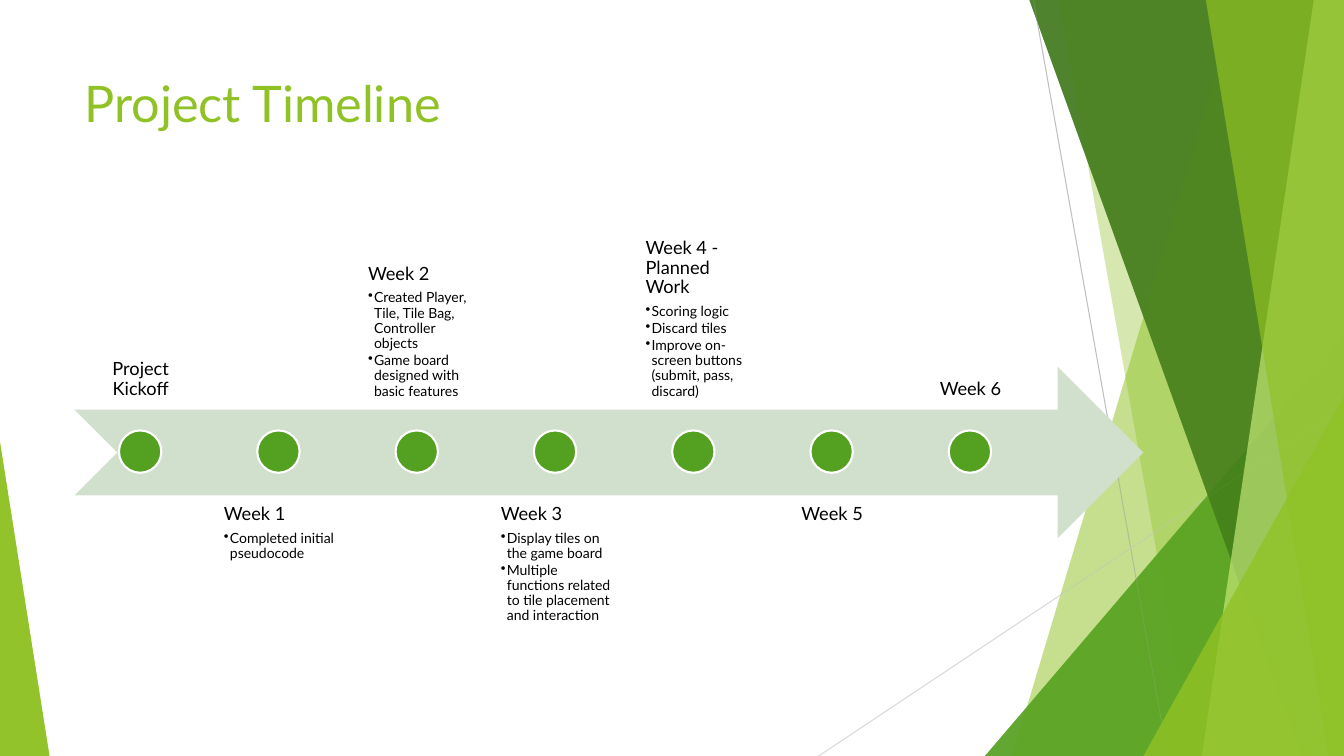
from dataclasses import dataclass

from lxml import etree
from pptx import Presentation
from pptx import util as u
from pptx.dml.color import RGBColor
from pptx.enum import shapes, text
from pptx.oxml import ns
from pptx.shapes.autoshape import Shape
from pptx.slide import Slide
from pptx.text.text import TextFrame

WIDE, HIGH = 13.33, 7.5


@dataclass(frozen=True)
class Theme:
    font: str = "Lato"
    lime: str = "90C226"
    green: str = "54A021"
    dark: str = "3F7819"
    pale: str = "C0E474"
    arrow: str = "D1DFCD"
    white: str = "FFFFFF"
    black: str = "000000"
    title: float = 36
    head: float = 13
    body: float = 10


THEME = Theme()


@dataclass(frozen=True)
class Facet:
    top: float
    base: float
    color: str
    alpha: int


@dataclass(frozen=True)
class Wedge:
    left: float
    top: float
    width: float
    apex: float
    color: str
    alpha: int


@dataclass(frozen=True)
class Ray:
    start: tuple[float, float]
    end: tuple[float, float]
    color: str


@dataclass(frozen=True)
class Stage:
    head: str
    points: tuple[str, ...] = ()
    align: text.PP_ALIGN = text.PP_ALIGN.LEFT


DECOR: list[Facet | Wedge] = [
    Facet(12.28, 10.04, THEME.lime, 30),
    Facet(10.5, 11.83, THEME.lime, 20),
    Wedge(9.77, 3.33, 3.56, 1, THEME.green, 72),
    Facet(10.21, 12.91, THEME.dark, 70),
    Facet(13.03, 11.92, THEME.pale, 70),
    Facet(11.96, 13.18, THEME.lime, 65),
    Wedge(11.34, 3.93, 1.99, 1, THEME.lime, 80),
    Wedge(0, 4.39, 0.49, 0, THEME.lime, 85),
]
RAYS = [
    Ray((10.25, 0), (11.58, HIGH), "BFBFBF"),
    Ray((WIDE, 4.03), (8.12, HIGH), "D9D9D9"),
]
STAGES = [
    Stage("Project Kickoff", align=text.PP_ALIGN.CENTER),
    Stage("Week 1", ("Completed initial pseudocode",)),
    Stage("Week 2", ("Created Player, Tile, Tile Bag, Controller objects",
                     "Game board designed with basic features")),
    Stage("Week 3", ("Display tiles on the game board",
                     "Multiple functions related to tile placement and interaction")),
    Stage("Week 4 - Planned Work", ("Scoring logic", "Discard tiles",
                                    "Improve on-screen buttons (submit, pass, discard)")),
    Stage("Week 5"),
    Stage("Week 6", align=text.PP_ALIGN.CENTER),
]
LEFT = 0.74
PITCH = 8.23 / 6


def paint(shape: Shape, color: str, alpha: int = 100) -> None:
    shape.shadow.inherit = False
    shape.line.fill.background()
    shape.fill.solid()
    shape.fill.fore_color.rgb = RGBColor.from_string(color)
    if alpha < 100:
        tint = shape.fill._xPr.find(".//" + ns.qn("a:srgbClr"))
        etree.SubElement(tint, ns.qn("a:alpha"), val=str(alpha * 1000))


def add_form(slide: Slide, kind: shapes.MSO_SHAPE, left: float, top: float,
             width: float, height: float) -> Shape:
    return slide.shapes.add_shape(kind, u.Inches(left), u.Inches(top),
                                  u.Inches(width), u.Inches(height))


def draw_facet(slide: Slide, facet: Facet) -> None:
    build = slide.shapes.build_freeform(u.Inches(facet.top), 0)
    build.add_line_segments([
        (u.Inches(x), u.Inches(y))
        for x, y in ((WIDE, 0), (WIDE, HIGH), (facet.base, HIGH))
    ])
    paint(build.convert_to_shape(), facet.color, facet.alpha)


def draw_wedge(slide: Slide, wedge: Wedge) -> None:
    shape = add_form(slide, shapes.MSO_SHAPE.ISOSCELES_TRIANGLE, wedge.left,
                     wedge.top, wedge.width, HIGH - wedge.top)
    shape.adjustments[0] = wedge.apex
    paint(shape, wedge.color, wedge.alpha)


def draw_decor(slide: Slide) -> None:
    for part in DECOR:
        if isinstance(part, Facet):
            draw_facet(slide, part)
        else:
            draw_wedge(slide, part)


def draw_ray(slide: Slide, ray: Ray) -> None:
    line = slide.shapes.add_connector(
        shapes.MSO_CONNECTOR.STRAIGHT,
        *(u.Inches(n) for n in ray.start + ray.end))
    line.line.color.rgb = RGBColor.from_string(ray.color)
    line.line.width = u.Pt(0.75)
    etree.SubElement(line._element.spPr, ns.qn("a:effectLst"))


def add_box(slide: Slide, left: float, top: float, width: float,
            height: float) -> TextFrame:
    box = slide.shapes.add_textbox(u.Inches(left), u.Inches(top),
                                   u.Inches(width), u.Inches(height))
    box.text_frame.word_wrap = True
    return box.text_frame


def write(para: text.PP_ALIGN, words: str, size: float, color: str) -> None:
    run = para.add_run()
    run.text = words
    run.font.name = THEME.font
    run.font.size = u.Pt(size)
    run.font.color.rgb = RGBColor.from_string(color)


def draw_stage(slide: Slide, stage: Stage, index: int) -> None:
    left = LEFT + index * PITCH
    above = index % 2 == 0
    frame = add_box(slide, left, 2.36 if above else 4.91, 1.31, 1.7)
    frame.vertical_anchor = (text.MSO_ANCHOR.BOTTOM if above
                             else text.MSO_ANCHOR.TOP)
    frame._txBody.bodyPr.set("anchorCtr", "1")
    frame.margin_left = frame.margin_right = u.Inches(0.1)
    frame.margin_top = frame.margin_bottom = u.Inches(0.1)
    head = frame.paragraphs[0]
    head.alignment = stage.align
    head.line_spacing = 0.9
    head.space_after = u.Pt(4.5)
    write(head, stage.head, THEME.head, THEME.black)
    for point in stage.points:
        para = frame.add_paragraph()
        props = para._p.get_or_add_pPr()
        props.set("marL", str(u.Inches(0.06)))
        props.set("indent", str(u.Inches(-0.06)))
        etree.SubElement(props, ns.qn("a:buChar"), char="•")
        para.level = 1
        para.line_spacing = 0.9
        para.space_after = u.Pt(1.5)
        write(para, point, THEME.body, THEME.black)
    dot = add_form(slide, shapes.MSO_SHAPE.OVAL, left + 0.44, 4.27, 0.42, 0.42)
    paint(dot, THEME.green)
    dot.line.color.rgb = RGBColor.from_string(THEME.white)
    dot.line.width = u.Pt(1.5)


def main() -> None:
    deck = Presentation()
    deck.slide_width, deck.slide_height = u.Inches(WIDE), u.Inches(HIGH)
    slide = deck.slides.add_slide(deck.slide_layouts[6])
    draw_decor(slide)
    for ray in RAYS:
        draw_ray(slide, ray)
    draw_decor(slide)
    title = add_box(slide, LEFT, 0.67, 9.4, 1.44)
    write(title.paragraphs[0], "Project Timeline", THEME.title, THEME.lime)
    arrow = add_form(slide, shapes.MSO_SHAPE.NOTCHED_RIGHT_ARROW,
                     LEFT, 3.64, 10.6, 1.7)
    paint(arrow, THEME.arrow)
    for index, stage in enumerate(STAGES):
        draw_stage(slide, stage, index)
    deck.save("out.pptx")


if __name__ == "__main__":
    main()
